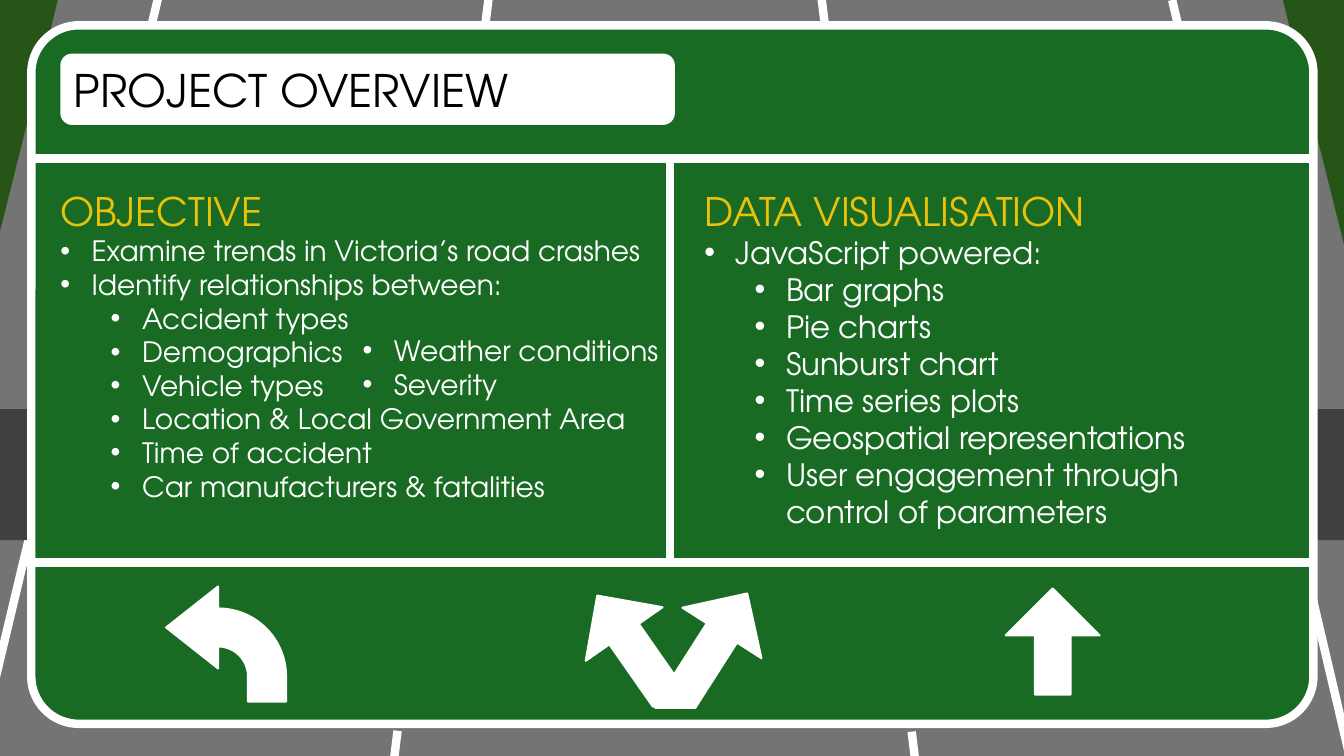
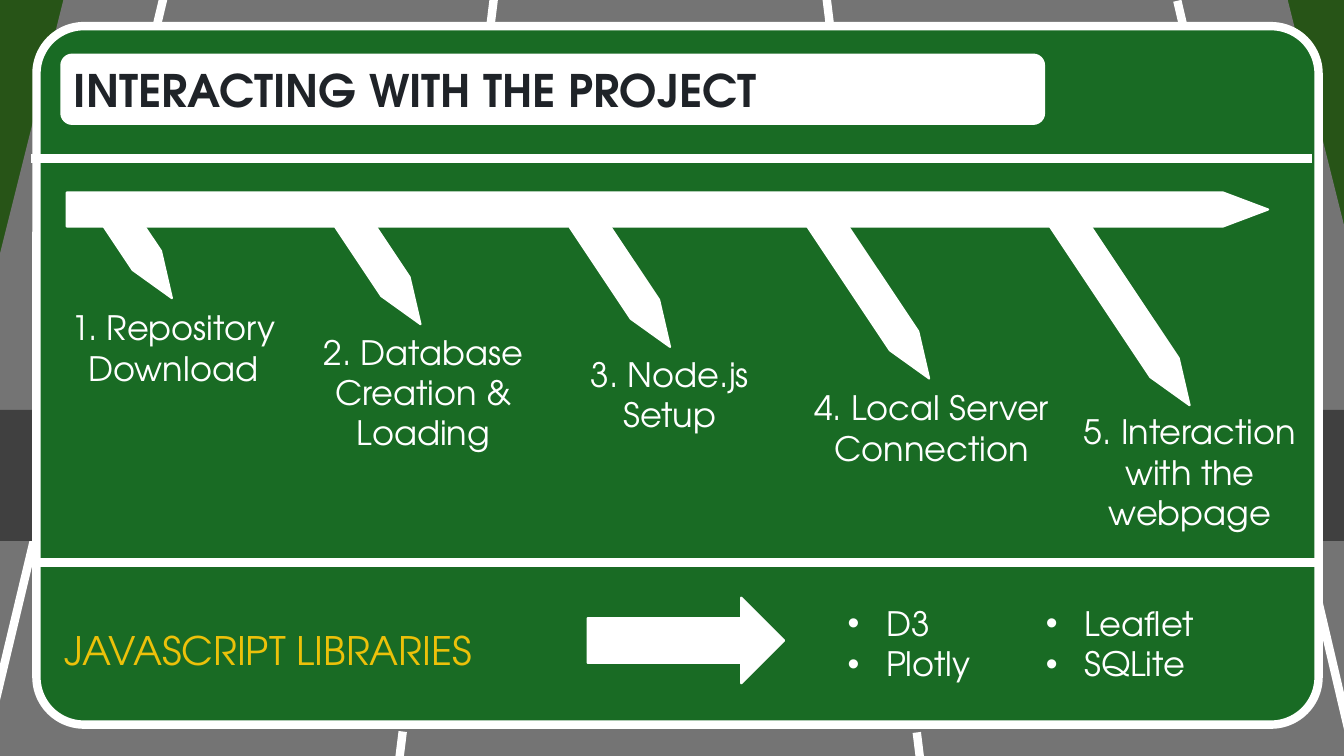
from dataclasses import dataclass

from lxml import etree
from pptx import Presentation
from pptx.dml.color import RGBColor
from pptx.enum import dml, shapes, text
from pptx.oxml import ns
from pptx.util import Cm, Pt

SHAPE = shapes.MSO_SHAPE


@dataclass(frozen=True)
class Theme:
    font: str = "TeX Gyre Adventor"
    grass: str = "275417"
    road: str = "747474"
    crossroad: str = "404040"
    sign: str = "196B24"
    white: str = "FFFFFF"
    black: str = "000000"
    ink: str = "1F2328"
    accent: str = "ECC10A"
    title_size: int = 32
    heading_size: int = 28
    step_size: int = 24
    list_size: int = 22
    compact_size: int = 20
    heavy_line: float = 6
    thin_line: float = 1.5


class RoadSignDeck:
    """Holds the theme and the slide being drawn; all lengths are in centimetres."""

    def __init__(self, theme):
        self.theme = theme
        self.presentation = Presentation()
        self.presentation.slide_width = Cm(33.87)
        self.presentation.slide_height = Cm(19.05)
        self.slide = None

    def new_slide(self, title, bar_width, color, bold=False, shift=(0, 0)):
        self.slide = self.presentation.slides.add_slide(self.presentation.slide_layouts[5])
        background = self.slide.background.fill
        background.solid()
        background.fore_color.rgb = RGBColor.from_string(self.theme.grass)
        self.road_scene(*shift)
        self.title(title, bar_width, color, bold)
        self.line(0.79, 3.99, 33.07, 3.99)
        self.line(0.89, 14.17, 33.17, 14.17)

    def road_scene(self, dx, dy):
        theme = self.theme
        self.shape(SHAPE.TRAPEZOID, dx - 3.3, dy - 0.08, 40.39, 19.13, theme.road)
        lanes = [(3.99, -0.08, -0.58, 19.05, False), (29.54, 0, 34.01, 19.05, False),
                 (12.32, -0.1, 9.93, 19.13, True), (20.7, -0.08, 23.06, 19.13, True)]
        for x1, y1, x2, y2, dashed in lanes:
            self.line(x1 + dx, y1 + dy, x2 + dx, y2 + dy, dashed)
        self.shape(SHAPE.RECTANGLE, dx - 2.79, dy + 10.31, 38.71, 3.3, theme.crossroad)
        self.shape(SHAPE.ROUNDED_RECTANGLE, dx + 0.79, dy + 0.64, 32.31, 17.6, theme.sign,
                   theme.heavy_line, (0.068,))

    def title(self, wording, bar_width, color, bold):
        left, top, height, inset = 1.52, 1.35, 1.8, 0.09
        self.shape(SHAPE.ROUNDED_RECTANGLE, left, top, bar_width, height, self.theme.white)
        title = self.slide.shapes.title
        title.left, title.top = Cm(left + inset), Cm(top)
        title.width, title.height = Cm(bar_width - 2 * inset), Cm(height)
        frame = title.text_frame
        frame.text = wording
        frame.auto_size = text.MSO_AUTO_SIZE.NONE
        frame.vertical_anchor = text.MSO_ANCHOR.MIDDLE
        frame.paragraphs[0].alignment = text.PP_ALIGN.LEFT
        self.style(frame.paragraphs[0], self.theme.title_size, color, bold)
        # The placeholder comes first in the tree, so it is raised above the bar.
        self.slide.shapes._spTree.append(title._element)

    def style(self, paragraph, size, color, bold=False):
        font = paragraph.font
        font.name, font.size, font.bold = self.theme.font, Pt(size), bold
        font.color.rgb = RGBColor.from_string(color)

    def shape(self, kind, left, top, width, height, fill, outline=0, adjustments=(),
              rotation=0, mirrored=False):
        shape = self.slide.shapes.add_shape(kind, Cm(left), Cm(top), Cm(width), Cm(height))
        shape.shadow.inherit = False
        shape.fill.solid()
        shape.fill.fore_color.rgb = RGBColor.from_string(fill)
        if outline:
            shape.line.color.rgb = RGBColor.from_string(self.theme.white)
            shape.line.width = Pt(outline)
        else:
            shape.line.fill.background()
        for index, value in enumerate(adjustments):
            shape.adjustments[index] = value
        shape.rotation = rotation
        if mirrored:
            shape._element.spPr.find(ns.qn("a:xfrm")).set("flipH", "1")

    def sign_mark(self, kind, left, top, width, height, adjustments=(), **turn):
        """White road marking with a thin white outline."""
        self.shape(kind, left, top, width, height, self.theme.white, self.theme.thin_line,
                   adjustments, **turn)

    def line(self, x1, y1, x2, y2, dashed=False):
        line = self.slide.shapes.add_connector(
            shapes.MSO_CONNECTOR.STRAIGHT, Cm(x1), Cm(y1), Cm(x2), Cm(y2))
        line.line.color.rgb = RGBColor.from_string(self.theme.white)
        line.line.width = Pt(self.theme.heavy_line)
        if dashed:
            line.line.dash_style = dml.MSO_LINE.LONG_DASH
        etree.SubElement(line._element.spPr, ns.qn("a:effectLst"))

    def text_box(self, left, top, width, height, lines):
        box = self.slide.shapes.add_textbox(Cm(left), Cm(top), Cm(width), Cm(height))
        box.text_frame.word_wrap = True
        box.text_frame.text = "\n".join(lines)
        return box.text_frame.paragraphs

    def bullet(self, paragraph, level, hanging):
        paragraph.level = level
        properties = paragraph._p.get_or_add_pPr()
        properties.set("marL", str(Cm(hanging + 1.27 * level)))
        properties.set("indent", str(-Cm(hanging)))
        for tag, name, value in (("a:buFont", "typeface", "Arial"), ("a:buChar", "char", "•")):
            etree.SubElement(properties, ns.qn(tag)).set(name, value)

    def text_list(self, left, top, width, height, size, items, heading=None, hanging=0.79):
        """Bulleted (level, wording) items under an optional heading."""
        lines = [heading] if heading else []
        paragraphs = list(self.text_box(left, top, width, height,
                                        lines + [wording for _, wording in items]))
        if heading:
            heading_paragraph = paragraphs.pop(0)
            heading_paragraph.line_spacing = 1.5
            self.style(heading_paragraph, self.theme.heading_size, self.theme.accent)
        for paragraph, (level, _) in zip(paragraphs, items):
            self.bullet(paragraph, level, hanging)
            self.style(paragraph, size, self.theme.white)

    def step(self, lines, label, arrow):
        """Branch of the process arrow with its label below."""
        left, top, length = arrow
        self.sign_mark(SHAPE.UP_ARROW, left, top, 0.86, length, (1, 1.326), rotation=146.3)
        for paragraph in self.text_box(*label, 3.4, lines):
            paragraph.alignment = text.PP_ALIGN.CENTER
            self.style(paragraph, self.theme.step_size, self.theme.white)


def draw_overview(deck):
    theme = deck.theme
    deck.new_slide("PROJECT OVERVIEW", 15.49, theme.black)
    deck.line(16.89, 4.06, 16.89, 14.17)
    deck.text_list(1.27, 3.99, 15.49, 9.75, theme.compact_size, [
        (0, "Examine trends in Victoria’s road crashes"),
        (0, "Identify relationships between:"),
        (1, "Accident types"),
        (1, "Demographics"),
        (1, "Vehicle types"),
        (1, "Location & Local Government Area"),
        (1, "Time of accident"),
        (1, "Car manufacturers & fatalities"),
    ], "OBJECTIVE")
    deck.text_list(7.62, 8.28, 10.21, 1.96, theme.compact_size,
                   [(1, "Weather conditions"), (1, "Severity")])
    deck.text_list(17.5, 3.99, 15.19, 9.58, theme.list_size, [
        (0, "JavaScript powered:"),
        (1, "Bar graphs"),
        (1, "Pie charts"),
        (1, "Sunburst chart"),
        (1, "Time series plots"),
        (1, "Geospatial representations"),
        (1, "User engagement through control of parameters"),
    ], "DATA VISUALISATION")

    deck.sign_mark(SHAPE.BENT_ARROW, 4.19, 14.78, 3.02, 2.9, (0.33, 0.356, 0.451, 0.596),
                   mirrored=True)
    for left, top, height, rotation in [(14.76, 14.73, 3.1, 325.1), (16.81, 14.71, 3.12, 32.6),
                                        (25.35, 14.83, 2.67, 0)]:
        deck.sign_mark(SHAPE.UP_ARROW, left, top, 2.36, height, (0.382, 0.5), rotation=rotation)
    deck.sign_mark(SHAPE.RECTANGLE, 16.51, 17.25, 1.02, 0.58)


def draw_interaction(deck):
    theme = deck.theme
    deck.new_slide("INTERACTING WITH THE PROJECT", 24.82, theme.ink, bold=True,
                   shift=(0.13, 0.02))
    deck.sign_mark(SHAPE.RIGHT_ARROW, 1.68, 4.85, 30.28, 0.86, (1, 1.326))
    steps = [
        (["1. Repository Download"], (1.4, 7.62, 5.94), (3.12, 4.93, 2.82)),
        (["2. Database Creation & Loading"], (7.7, 8.23, 5.94), (9.27, 5.21, 3.23)),
        (["3. Node.js", "Setup"], (14.48, 8.79, 4.8), (15.37, 5.16, 3.91)),
        (["4. Local Server Connection"], (20.04, 9.63, 6.88), (21.59, 4.93, 5.03)),
        (["5. Interaction with the webpage"], (26.75, 10.24, 6.48), (27.97, 5, 5.69)),
    ]
    for step in steps:
        deck.step(*step)

    deck.text_list(1.37, 15.06, 12.88, 1.83, theme.step_size, [], "JAVASCRIPT LIBRARIES")
    deck.sign_mark(SHAPE.RIGHT_ARROW, 14.81, 15.06, 4.95, 2.16, (0.523, 0.5))
    for left, libraries in [(21.11, ("D3", "Plotly")), (26.11, ("Leaflet", "SQLite"))]:
        deck.text_list(left, 15.07, 5, 2.31, theme.step_size,
                       [(0, library) for library in libraries], hanging=0.97)


def main():
    deck = RoadSignDeck(Theme())
    draw_overview(deck)
    draw_interaction(deck)
    deck.presentation.save("out.pptx")


if __name__ == "__main__":
    main()
